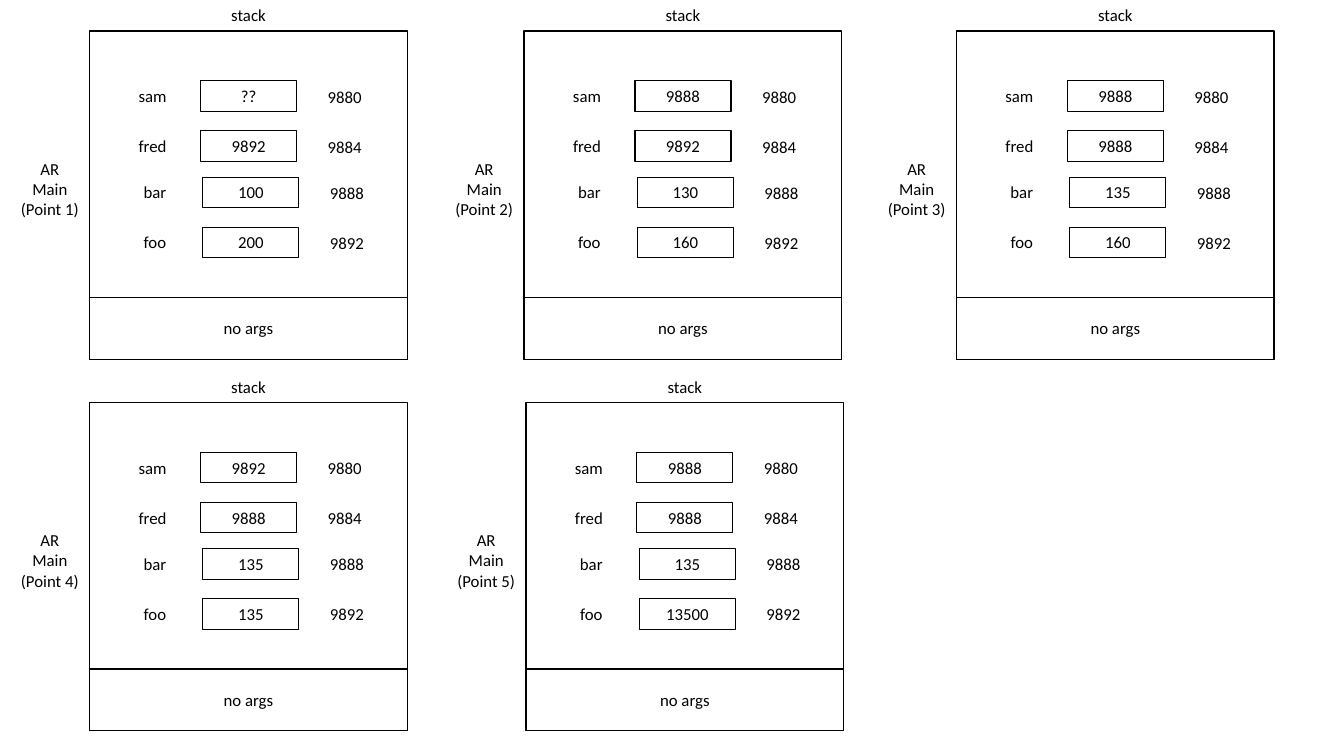
from pptx import Presentation
from pptx.dml.color import RGBColor
from pptx.enum.shapes import MSO_SHAPE
from pptx.enum.text import MSO_ANCHOR, PP_ALIGN
from pptx.util import Pt

INK, PAPER = "000000", "FFFFFF"
LABEL_W, STACK_W, CELL_W, LINE_H = 57, 226.8, 68.6, 21.8
ROWS = [
    ("sam", "9880", 79.2, 57.8),
    ("fred", "9884", 79.2, 93.5),
    ("bar", "9888", 80.9, 126.6),
    ("foo", "9892", 80.9, 162.3),
]
POINTS = [
    (7.1, 0, ["??", "9892", "100", "200"]),
    (317.4, 0, ["9888", "9892", "130", "160"]),
    (626.3, 0, ["9888", "9888", "135", "160"]),
    (7.1, 265.3, ["9892", "9888", "135", "135"]),
    (318.8, 265.3, ["9888", "9888", "135", "13500"]),
]


def color(code):
    """Turn a hex string into a colour."""
    return RGBColor.from_string(code)


def box(slide, x, y, w, h, line, fill=None):
    """Draw an outlined rectangle, filled if a colour is given."""
    shape = slide.shapes.add_shape(MSO_SHAPE.RECTANGLE, Pt(x), Pt(y), Pt(w), Pt(h))
    shape.shadow.inherit = False
    shape.line.color.rgb = color(INK)
    shape.line.width = Pt(line)
    if fill:
        shape.fill.solid()
        shape.fill.fore_color.rgb = color(fill)
    else:
        shape.fill.background()
    return shape


def write(shape, *lines):
    """Write centred lines from the top of a shape."""
    frame = shape.text_frame
    frame.word_wrap = True
    frame.vertical_anchor = MSO_ANCHOR.TOP
    for i, line in enumerate(lines):
        para = frame.add_paragraph() if i else frame.paragraphs[0]
        para.alignment = PP_ALIGN.CENTER
        run = para.add_run()
        run.text = line
        run.font.name = "Calibri"
        run.font.size = Pt(12)
        run.font.color.rgb = color(INK)


def text(slide, x, y, w, h, *lines):
    """Add a text box with centred lines."""
    write(slide.shapes.add_textbox(Pt(x), Pt(y), Pt(w), Pt(h)), *lines)


def row(slide, x, y, name, value, place):
    """Draw one variable: its name, its value cell and its address."""
    cell = box(slide, x, y, CELL_W, LINE_H, 0.75)
    write(cell, value)
    text(slide, x - CELL_W, y, CELL_W, LINE_H, name)
    text(slide, x + CELL_W, y + 0.3, CELL_W, LINE_H, place)


def stack(slide, x, y, point, values):
    """Draw the stack at one point, with its label on the left."""
    left = x + LABEL_W
    box(slide, left, y + 22.1, STACK_W, 234.6, 1, PAPER)
    box(slide, left, y + 212.5, STACK_W, 44.2, 1, PAPER)
    text(slide, left, y, STACK_W, LINE_H, "stack")
    text(slide, left, y + 223.7, STACK_W, LINE_H, "no args")
    text(slide, x, y + 109.7, LABEL_W, 51.1, "AR", "Main", f"(Point {point})")
    for (name, place, dx, dy), value in zip(ROWS, values):
        row(slide, left + dx, y + dy, name, value, place)


def main():
    """Build the slide and save it."""
    deck = Presentation()
    deck.slide_width, deck.slide_height = Pt(960), Pt(540)
    slide = deck.slides.add_slide(deck.slide_layouts[6])
    for point, (x, y, values) in enumerate(POINTS, 1):
        stack(slide, x, y, point, values)
    deck.save("out.pptx")


main()
